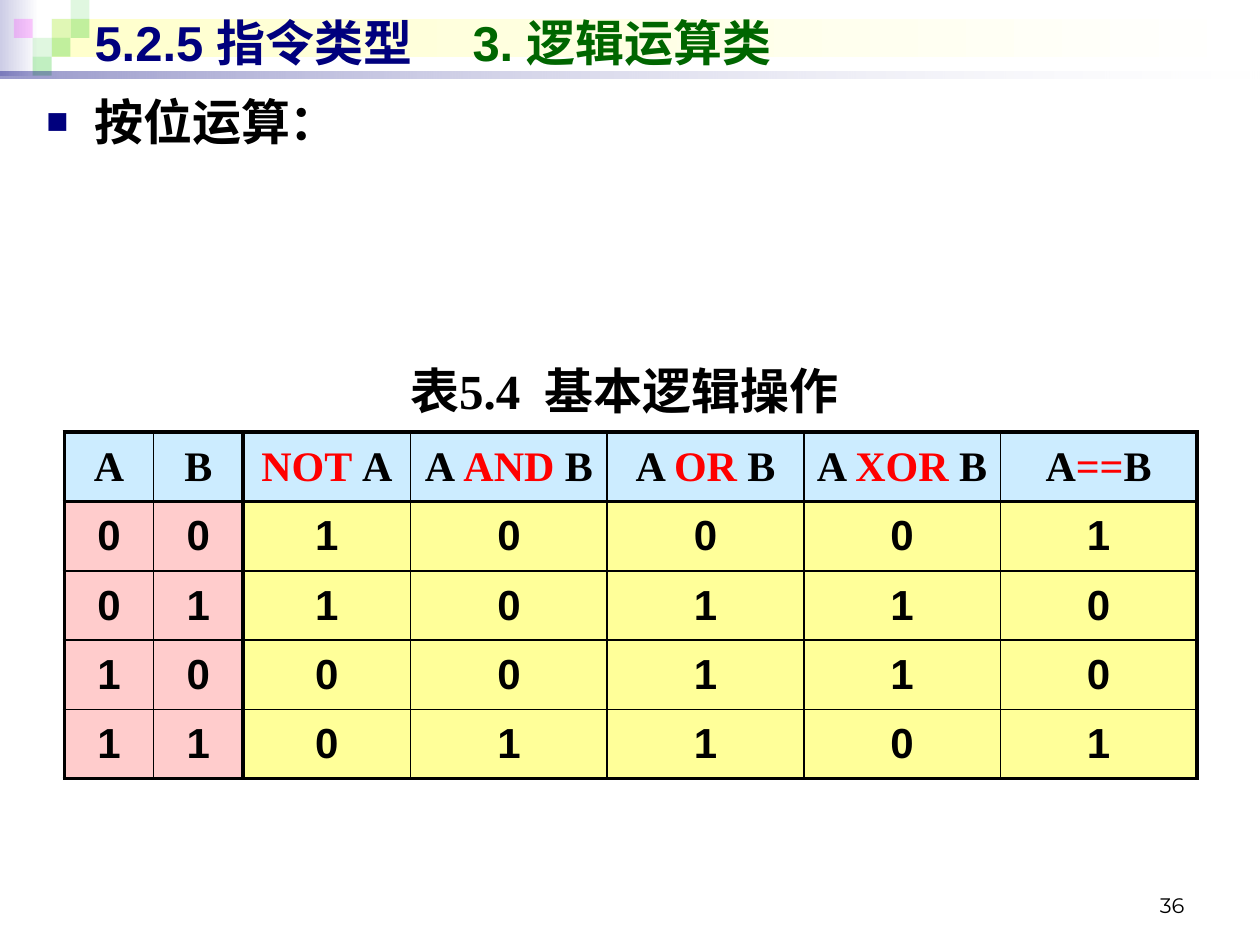
from lxml import etree
from pptx import Presentation
from pptx.dml.color import RGBColor
from pptx.enum.shapes import MSO_SHAPE
from pptx.enum.text import MSO_ANCHOR, MSO_AUTO_SIZE, PP_ALIGN
from pptx.oxml.ns import qn
from pptx.util import Inches, Pt

RECT = MSO_SHAPE.RECTANGLE
LEFT, CENTER, RIGHT = PP_ALIGN.LEFT, PP_ALIGN.CENTER, PP_ALIGN.RIGHT
TOP, MIDDLE, BOTTOM = MSO_ANCHOR.TOP, MSO_ANCHOR.MIDDLE, MSO_ANCHOR.BOTTOM
NO_FIT = MSO_AUTO_SIZE.NONE

NAVY, GREEN, RED, BLACK = "00007D", "006600", "FF0000", "000000"
SANS, SERIF = "Arial", "Times New Roman"
HEAD_FILL, INPUT_FILL, RESULT_FILL = "CCECFF", "FFCCCC", "FFFF99"
THIN, THICK = 1, 2.25

# Column, row, colour and opacity of each square in the corner mosaic
MOSAIC_LEFT, TILE = 0.11, 0.15
MOSAIC = [(2, 1, "33CC33", 15), (3, 0, "33CC33", 15), (3, 1, "33CC33", 30),
          (1, 2, "33CC33", 15), (0, 1, "FF00FF", 20), (2, 2, "33CC33", 30),
          (1, 3, "33CC33", 30)]

# Heading cells are runs of (text, colour); the first two columns are inputs
INPUTS = 2
HEADINGS = [[("A", BLACK)], [("B", BLACK)], [("NOT ", RED), ("A", BLACK)]]
HEADINGS += [[("A ", BLACK), (op, RED), (" B", BLACK)] for op in ("AND", "OR", "XOR")]
HEADINGS += [[("A", BLACK), ("==", RED), ("B", BLACK)]]
TRUTH = ["0010001", "0110110", "1000110", "1101101"]
TRUTH[0] = "0010001"
COL_WIDTHS = [0.71, 0.71, 1.33] + [1.56] * 4
ROW_HEIGHT = 0.55


def rgb(value):
    return RGBColor.from_string(value)


def set_alpha(color_element, percent):
    etree.SubElement(color_element, qn("a:alpha")).set("val", str(percent * 1000))


def add_rect(s, box, colors, alphas=()):
    """Rectangle with one solid colour or a left-to-right gradient of two."""
    sp = s.shapes.add_shape(RECT, *map(Inches, box))
    sp.shadow.inherit = False
    sp.line.fill.background()
    if len(colors) == 1:
        sp.fill.solid()
        sp.fill.fore_color.rgb = rgb(colors[0])
    else:
        sp.fill.gradient()
        sp.fill.gradient_angle = 0
        for stop, color in zip(sp.fill.gradient_stops, colors):
            stop.color.rgb = rgb(color)
    for element, alpha in zip(list(sp.fill._xPr.iter(qn("a:srgbClr"))), alphas):
        set_alpha(element, alpha)


def write(tf, runs, size=28, font=SERIF, bold=True, align=LEFT):
    """Fill the first paragraph with (text, colour) runs and return it."""
    p = tf.paragraphs[0]
    p.alignment = align
    for text, color in runs:
        r = p.add_run()
        r.text = text
        r.font.size, r.font.name, r.font.bold = Pt(size), font, bold
        r.font.color.rgb = rgb(color)
    return p


def add_text(s, box, text, anchor=TOP, **fmt):
    tf = s.shapes.add_textbox(*map(Inches, box)).text_frame
    tf.word_wrap = True
    tf.vertical_anchor = anchor
    return write(tf, [(text, BLACK)], **fmt)


def add_bullet(p, char, color, percent, indent):
    pPr = p._p.get_or_add_pPr()
    pPr.set("marL", str(Inches(indent)))
    pPr.set("indent", str(-Inches(indent)))
    clr = etree.SubElement(pPr, qn("a:buClr"))
    etree.SubElement(clr, qn("a:srgbClr")).set("val", color)
    etree.SubElement(pPr, qn("a:buSzPct")).set("val", str(percent * 1000))
    etree.SubElement(pPr, qn("a:buFont")).set("typeface", SANS)
    etree.SubElement(pPr, qn("a:buChar")).set("char", char)


def add_tab(p, position):
    tabs = etree.SubElement(p._p.get_or_add_pPr(), qn("a:tabLst"))
    tab = etree.SubElement(tabs, qn("a:tab"))
    tab.set("pos", str(Inches(position)))
    tab.set("algn", "l")


def set_borders(cell, widths):
    """Black borders; widths are in the order left, right, top, bottom."""
    tcPr = cell._tc.get_or_add_tcPr()
    for i, (side, width) in enumerate(zip("LRTB", widths)):
        ln = etree.Element(qn("a:ln" + side), w=str(Pt(width)))
        fill = etree.SubElement(ln, qn("a:solidFill"))
        etree.SubElement(fill, qn("a:srgbClr")).set("val", BLACK)
        tcPr.insert(i, ln)


def add_banner(s):
    add_rect(s, (0, 0, 0.31, 0.6), ["CDCDE6", "FFFFFF"])
    add_rect(s, (0.41, 0.15, 9.55, 0.3), ["FFFFCC", "FFFFFF"])
    for col, row, color, alpha in MOSAIC:
        box = (MOSAIC_LEFT + col * TILE, row * TILE, TILE, TILE)
        add_rect(s, box, [color], [alpha])
    add_rect(s, (0, 0.57, 10, 0.05), [NAVY, "FFFFFF"], [40, 10])


def add_title(s):
    title = s.shapes.title
    title.left, title.top, title.width, title.height = map(Inches, (0.65, 0.05, 9.23, 0.57))
    tf = title.text_frame
    tf.auto_size = NO_FIT
    tf.vertical_anchor = MIDDLE
    p = write(tf, [("5.2.5 指令类型\t", NAVY), ("3. 逻辑运算类", GREEN)], font=SANS)
    add_tab(p, 3)
    # Keep the title in front of the banner
    s.shapes._spTree.append(title._element)


def add_truth_table(s):
    rows = [HEADINGS] + [[[(bit, BLACK)] for bit in line] for line in TRUTH]
    n_rows, n_cols = len(rows), len(COL_WIDTHS)
    frame = s.shapes.add_table(n_rows, n_cols, Inches(0.51), Inches(3.43),
                               Inches(sum(COL_WIDTHS)), Inches(ROW_HEIGHT * n_rows))
    table = frame.table
    for col, width in zip(table.columns, COL_WIDTHS):
        col.width = Inches(width)
    # Thick rules frame the table, its heading row and its input columns
    thick_x, thick_y = (0, INPUTS, n_cols), (0, 1, n_rows)
    for i, row in enumerate(rows):
        table.rows[i].height = Inches(ROW_HEIGHT)
        for j, runs in enumerate(row):
            cell = table.cell(i, j)
            cell.vertical_anchor = MIDDLE
            cell.margin_left = cell.margin_right = Inches(0.05)
            body_fill = INPUT_FILL if j < INPUTS else RESULT_FILL
            cell.fill.solid()
            cell.fill.fore_color.rgb = rgb(body_fill if i else HEAD_FILL)
            write(cell.text_frame, runs, size=24, font=SANS if i else SERIF, align=CENTER)
            edges = (j in thick_x, j + 1 in thick_x, i in thick_y, i + 1 in thick_y)
            set_borders(cell, [THICK if edge else THIN for edge in edges])


def main():
    prs = Presentation()
    prs.slide_width, prs.slide_height = Inches(10), Inches(7.5)
    s = prs.slides.add_slide(prs.slide_layouts[5])

    # Banner, page number and title
    add_banner(s)
    add_text(s, (7.17, 6.83, 2.33, 0.5), "36", anchor=BOTTOM,
             size=12, font="Montserrat", bold=False, align=RIGHT)
    add_title(s)

    # Bullet, table and its caption
    p = add_text(s, (0.27, 0.68, 9.37, 3.23), "按位运算：")
    add_bullet(p, "■", NAVY, 75, 0.38)
    add_truth_table(s)
    add_text(s, (0.27, 2.81, 9.37, 0.63), "表5.4  基本逻辑操作", align=CENTER)

    prs.save("out.pptx")


if __name__ == "__main__":
    main()
